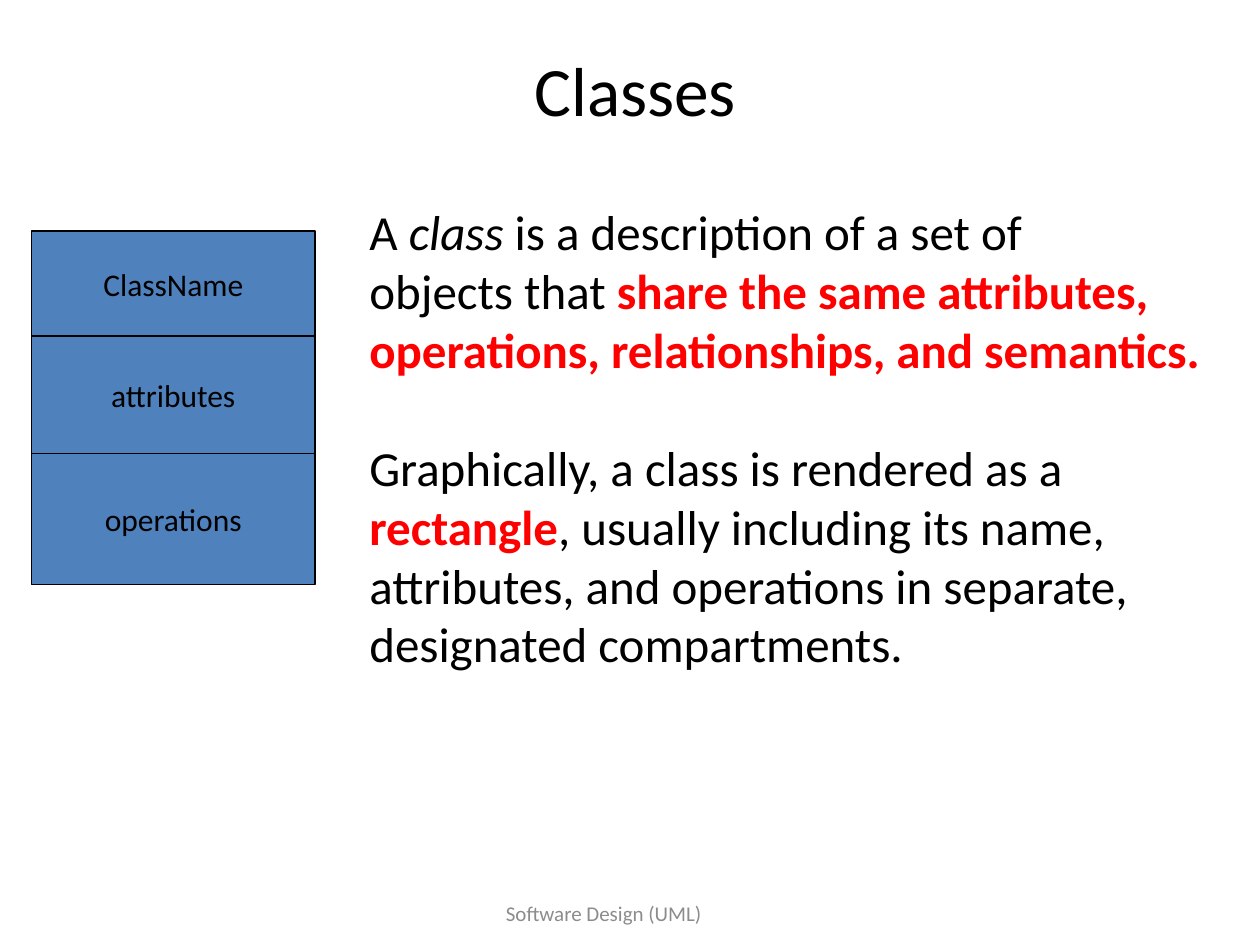
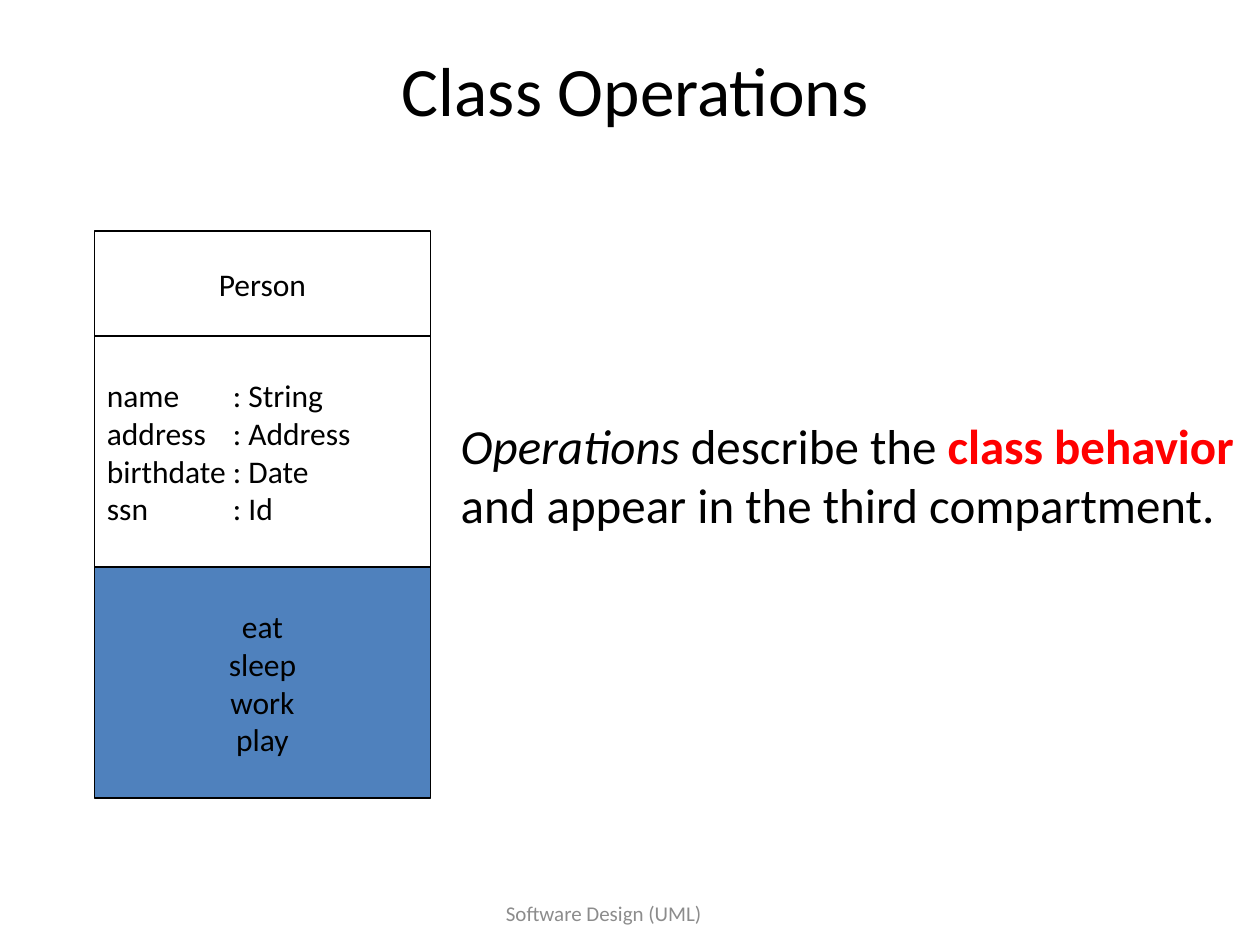
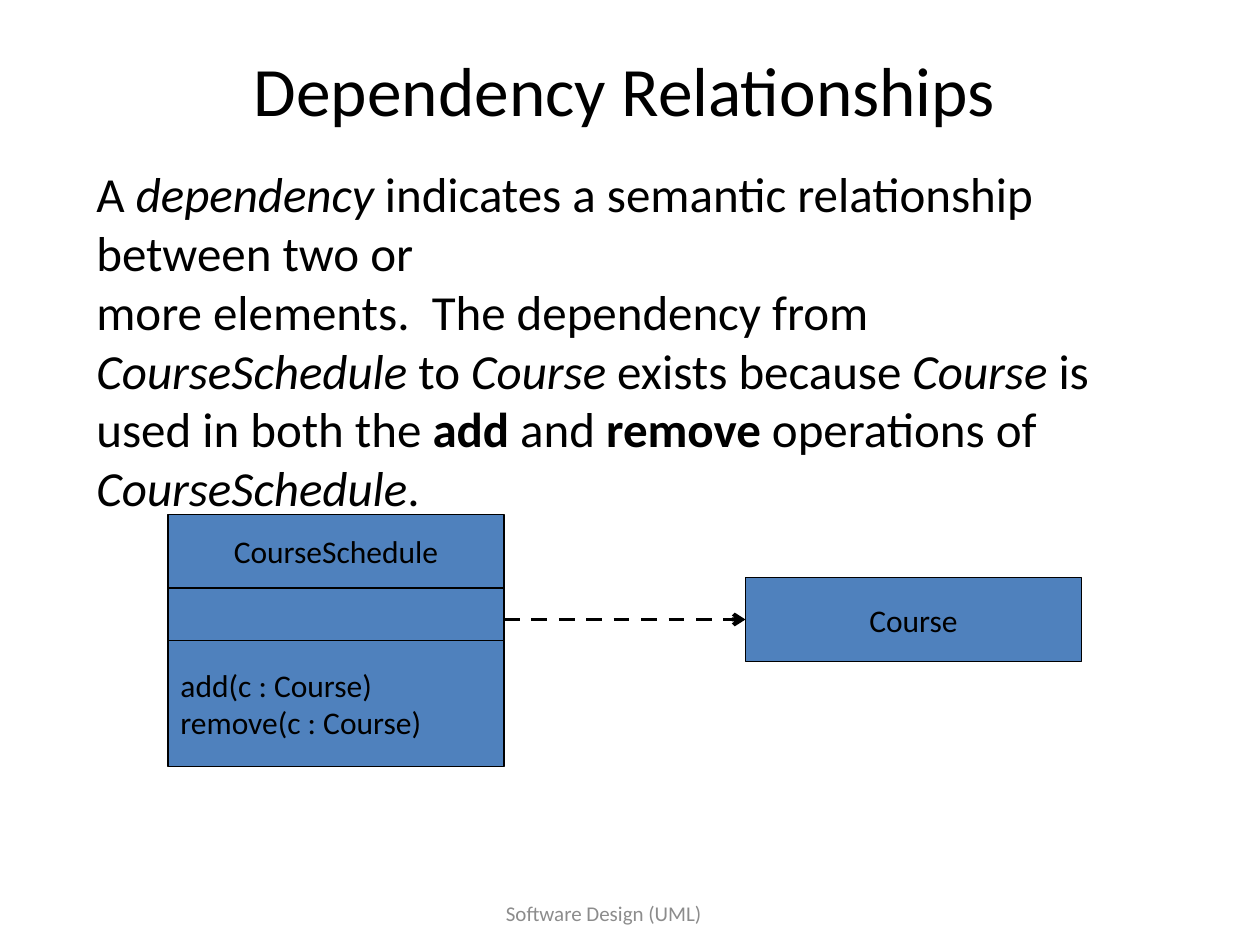
"""Build three slides on UML classes, operations and dependencies."""
from pptx import Presentation
from pptx.dml.color import RGBColor
from pptx.enum.dml import MSO_LINE
from pptx.enum.shapes import MSO_CONNECTOR, MSO_SHAPE
from pptx.enum.text import MSO_ANCHOR, MSO_AUTO_SIZE, PP_ALIGN
from pptx.oxml.ns import qn
from pptx.util import Pt
from lxml.etree import SubElement

PX = 7620
FONT = "Calibri"
COLORS = {"ink": "000000", "accent": "FF0000", "fill": "4F81BD", "paper": "FFFFFF", "footer": "8C8C8C"}
CENTER, LEFT = PP_ALIGN.CENTER, PP_ALIGN.LEFT


def write_text(box, paragraphs, size, align=CENTER, anchor=MSO_ANCHOR.MIDDLE, color="ink"):
    frame = box.text_frame
    frame.word_wrap = True
    frame.vertical_anchor = anchor
    for index, spans in enumerate(paragraphs):
        para = frame.add_paragraph() if index else frame.paragraphs[0]
        para.alignment = align
        for text, style in spans:
            span = para.add_run()
            span.text = text
            span.font.name = FONT
            span.font.size = Pt(size)
            span.font.italic = style == "italic"
            span.font.bold = style in ("bold", "accent")
            span.font.color.rgb = RGBColor.from_string(COLORS["accent" if style == "accent" else color])


def add_compartment(shapes, left, top, width, height, lines, fill="fill", align=CENTER):
    box = shapes.add_shape(MSO_SHAPE.RECTANGLE, left * PX, top * PX, width * PX, height * PX)
    box.shadow.inherit = False
    box.fill.solid()
    box.fill.fore_color.rgb = RGBColor.from_string(COLORS[fill])
    box.line.color.rgb = RGBColor.from_string(COLORS["ink"])
    box.line.width = Pt(0.75)
    write_text(box, [[(line, "")] for line in lines], 18, align)
    return box


slides = [
    {
        "title": "Classes", "title_left": 90,
        "class_box": (30, 220, 270),
        "compartments": [
            (100, ["ClassName"], "fill", CENTER),
            (112, ["attributes"], "fill", CENTER),
            (125, ["operations"], "fill", CENTER),
        ],
        "body_box": (340, 186, 828, 464),
        "body": [
            [("A ", ""), ("class", "italic"), (" is a description of a set of", "")],
            [("objects that ", ""), ("share the same attributes,", "accent")],
            [("operations, relationships, and semantics.", "accent")],
            [("Graphically, a class is rendered as a", "")],
            [("rectangle", "accent"), (", usually including its name,", "")],
            [("attributes, and operations in separate,", "")],
            [("designated compartments.", "")],
        ],
    },
    {
        "title": "Class Operations", "title_left": 90,
        "class_box": (90, 220, 320),
        "compartments": [
            (100, ["Person"], "paper", CENTER),
            (220, ["name\t: String", "address\t: Address", "birthdate\t: Date", "ssn\t: Id"], "paper", LEFT),
            (220, ["eat", "sleep", "work", "play"], "fill", CENTER),
        ],
        "body_box": (427, 390, 773, 125),
        "body": [
            [("Operations ", "italic"), ("describe the ", ""), ("class behavior", "accent")],
            [("and appear in the third compartment.", "")],
        ],
    },
    {
        "title": "Dependency Relationships", "title_left": 80,
        "class_box": (160, 490, 320),
        "compartments": [
            (70, ["CourseSchedule"], "fill", CENTER),
            (50, [], "fill", CENTER),
            (120, ["add(c : Course)", "remove(c : Course)"], "fill", LEFT),
        ],
        "body_box": (80, 150, 1064, 408),
        "body": [
            [("A ", ""), ("dependency", "italic"), (" indicates a semantic relationship between two or", "")],
            [("more elements.  The dependency from ", ""), ("CourseSchedule", "italic"), (" to ", ""),
             ("Course", "italic"), (" exists because ", ""), ("Course", "italic"),
             (" is used in both the ", ""), ("add", "bold"), (" and ", ""), ("remove", "bold"),
             (" operations of ", ""), ("CourseSchedule", "italic"), (".", "")],
        ],
    },
]

deck = Presentation()
deck.slide_width, deck.slide_height = 1200 * PX, 900 * PX
pages, stacks, bodies = [], [], []

for content in slides:
    page = deck.slides.add_slide(deck.slide_layouts[5])
    pages.append(page)

    title = page.shapes.title
    title.left, title.top = content["title_left"] * PX, 50 * PX
    title.width, title.height = 1030 * PX, 70 * PX
    write_text(title, [[(content["title"], "")]], 39.6)

    footer = page.shapes.add_textbox(310 * PX, 840 * PX, 530 * PX, 60 * PX)
    write_text(footer, [[("Software Design (UML)", "")]], 12, color="footer")

    group = page.shapes.add_group_shape()
    left, top, width = content["class_box"]
    stack = []
    for height, lines, fill, align in content["compartments"]:
        stack.append(add_compartment(group.shapes, left, top, width, height, lines, fill, align))
        top += height
    stacks.append(stack)

    body = page.shapes.add_textbox(*(length * PX for length in content["body_box"]))
    write_text(body, content["body"], 28, LEFT, MSO_ANCHOR.TOP)
    body.text_frame.auto_size = MSO_AUTO_SIZE.SHAPE_TO_FIT_TEXT
    bodies.append(body)

bodies[0].text_frame.paragraphs[3].space_before = Pt(34)

for para in stacks[1][1].text_frame.paragraphs:
    tabs = SubElement(para._p.get_or_add_pPr(), qn("a:tabLst"))
    SubElement(tabs, qn("a:tab"), pos=str(120 * PX), algn="l")

course = add_compartment(pages[2].shapes, 710, 550, 320, 80, ["Course"])
arrow = pages[2].shapes.add_connector(MSO_CONNECTOR.STRAIGHT, 480 * PX, 590 * PX, 710 * PX, 590 * PX)
arrow.end_connect(course, 1)
arrow.line.color.rgb = RGBColor.from_string(COLORS["ink"])
arrow.line.width = Pt(2.25)
arrow.line.dash_style = MSO_LINE.DASH
SubElement(arrow.line._get_or_add_ln(), qn("a:tailEnd"), type="arrow")
SubElement(arrow._element.spPr, qn("a:effectLst"))

deck.save("out.pptx")
